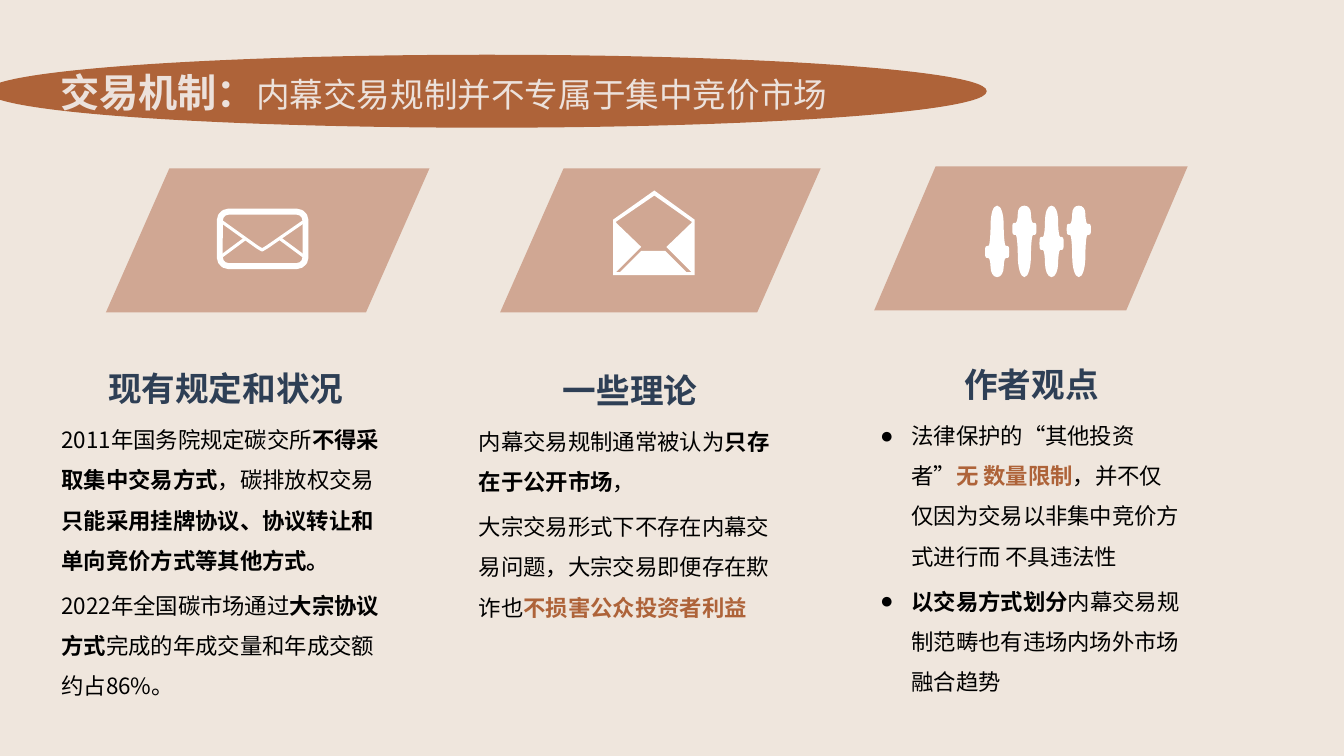
from dataclasses import dataclass

from lxml.etree import SubElement
from pptx import Presentation
from pptx.dml.color import RGBColor
from pptx.enum.lang import MSO_LANGUAGE_ID
from pptx.enum.shapes import MSO_SHAPE
from pptx.enum.text import MSO_AUTO_SIZE, PP_ALIGN
from pptx.oxml.ns import qn
from pptx.util import Inches, Pt


@dataclass(frozen=True)
class Theme:
    font: str = "Noto Sans CJK SC"
    bullet_font: str = "Arial"
    background: str = "EFE6DD"
    accent: str = "AE6339"
    panel: str = "D0A793"
    icon: str = "FFFFFF"
    title: str = "ECE1DB"
    heading: str = "2E3F55"
    body: str = "000000"
    title_size: int = 28
    heading_size: int = 24
    body_size: int = 16


THEME = Theme()


def rgb(color):
    return RGBColor.from_string(color)


def paint(shape, color):
    shape.shadow.inherit = False
    shape.fill.solid()
    shape.fill.fore_color.rgb = rgb(color)
    shape.line.fill.background()
    return shape


def outline(shape, width):
    shape.shadow.inherit = False
    shape.fill.background()
    shape.line.color.rgb = rgb(THEME.icon)
    shape.line.width = Pt(width)


def add_run(paragraph, text, size, color, bold=False):
    run = paragraph.add_run()
    run.text = text
    font = run.font
    font.size, font.bold, font.name = Pt(size), bold, THEME.font
    font.color.rgb = rgb(color)
    font.language_id = MSO_LANGUAGE_ID.SIMPLIFIED_CHINESE
    SubElement(run._r.get_or_add_rPr(), qn("a:ea"), typeface=THEME.font)


def add_text_frame(slide, left, top, width, height):
    frame = slide.shapes.add_textbox(*map(Inches, (left, top, width, height))).text_frame
    frame.word_wrap = True
    frame.auto_size = MSO_AUTO_SIZE.SHAPE_TO_FIT_TEXT
    return frame


def add_bullet(paragraph):
    properties = paragraph._p.get_or_add_pPr()
    properties.set("marL", str(Inches(0.31)))
    properties.set("indent", str(-Inches(0.31)))
    SubElement(properties, qn("a:buFont"), typeface=THEME.bullet_font)
    SubElement(properties, qn("a:buChar"), char="●")


def draw_outline(slide, left, top, contours, close=True):
    (first, *rest), *others = [
        [(Inches(left + x), Inches(top + y)) for x, y in contour] for contour in contours
    ]
    builder = slide.shapes.build_freeform(*first)
    builder.add_line_segments(rest, close=close)
    for start, *following in others:
        builder.move_to(*start)
        builder.add_line_segments(following, close=close)
    return builder.convert_to_shape()


def bend(shape):
    lines = list(shape._element.iter(qn("a:lnTo")))
    for first in range(0, len(lines) - 2, 3):
        curve = lines[first].makeelement(qn("a:cubicBezTo"))
        lines[first].addprevious(curve)
        for line in lines[first:first + 3]:
            curve.append(line[0])
            line.getparent().remove(line)
    return shape


def draw_closed_envelope(slide, left, top):
    frame = slide.shapes.add_shape(
        MSO_SHAPE.ROUNDED_RECTANGLE,
        *map(Inches, (left + 0.03, top + 0.03, 0.85, 0.54)))
    frame.adjustments[0] = 0.16
    outline(frame, 4.25)
    folds = [
        [(0.05, 0.13), (0.4, 0.38), (0.45, 0.41), (0.5, 0.38), (0.86, 0.13)],
        [(0.05, 0.47), (0.28, 0.3)],
        [(0.86, 0.47), (0.63, 0.3)],
    ]
    outline(draw_outline(slide, left, top, folds, close=False), 2.25)


def draw_open_envelope(slide, left, top):
    shell = [(0.41, 0), (0, 0.29), (0, 0.84), (0.81, 0.84), (0.81, 0.29)]
    opening = [(0.73, 0.81), (0.52, 0.6), (0.28, 0.6), (0.07, 0.81), (0.03, 0.81),
               (0.28, 0.56), (0.03, 0.32), (0.03, 0.31), (0.41, 0.05), (0.78, 0.31),
               (0.78, 0.32), (0.53, 0.56), (0.78, 0.81)]
    paint(draw_outline(slide, left, top, [shell, opening]), THEME.icon)


def slider_outline(shoulder, knob_top, knob_bottom, hip):
    height, stem, knob = 0.71, 0.065, 0.12
    middle = (knob_top + knob_bottom) / 2
    right = [
        (0, 0), (0.04, 0), (stem, shoulder * 0.4), (stem, shoulder),
        (stem, (shoulder + knob_top) / 2), (0.075, knob_top), (0.085, knob_top),
        (0.115, knob_top), (knob, knob_top), (knob, middle),
        (knob, knob_bottom), (0.115, knob_bottom), (0.085, knob_bottom),
        (0.075, knob_bottom), (stem, (knob_bottom + hip) / 2), (stem, hip),
        (stem, (hip + height) / 2), (0.04, height), (0, height),
    ]
    return right + [(-x, y) for x, y in reversed(right[:-1])]


def draw_sliders(slide, left, top):
    sliders = [(0.2, 0.4, 0.52, 0.61), (0.08, 0.17, 0.29, 0.5),
               (0.16, 0.31, 0.44, 0.57), (0.08, 0.18, 0.29, 0.51)]
    for index, levels in enumerate(sliders):
        center = left + 0.12 + index * 0.27
        slider = draw_outline(slide, center, top, [slider_outline(*levels)])
        paint(bend(slider), THEME.icon)


def draw_title(slide, left, top, width, height):
    banner = slide.shapes.add_shape(MSO_SHAPE.OVAL, *map(Inches, (left, top, width, height)))
    paint(banner, THEME.accent)
    banner.line.color.rgb = rgb(THEME.accent)
    banner.line.width = Pt(1)
    paragraph = add_text_frame(slide, left + 0.62, top + 0.08, 8.46, 0.57).paragraphs[0]
    add_run(paragraph, "交易机制：", THEME.title_size, THEME.title, True)
    add_run(paragraph, "内幕交易规制并不专属于集中竞价市场", THEME.heading_size, THEME.title)


def draw_panel(slide, left, top, width, slant, draw_icon, icon_left, icon_top):
    height = 1.43
    panel = slide.shapes.add_shape(
        MSO_SHAPE.PARALLELOGRAM, *map(Inches, (left, top, width, height)))
    panel.adjustments[0] = slant / height
    paint(panel, THEME.panel)
    draw_icon(slide, left + icon_left, top + icon_top)


def draw_column(slide, left, top, width, height, heading, points, bulleted=False):
    frame = add_text_frame(slide, left, top, width, height)
    frame.margin_left = frame.margin_right = frame.margin_top = frame.margin_bottom = 0
    title = frame.paragraphs[0]
    title.alignment = PP_ALIGN.CENTER
    title.line_spacing = 1.5
    add_run(title, heading, THEME.heading_size, THEME.heading, True)
    for point in points:
        paragraph = frame.add_paragraph()
        paragraph.line_spacing = 1.5
        paragraph.space_before = Pt(3.2)
        if bulleted:
            add_bullet(paragraph)
        for text, style in point:
            color = THEME.accent if style == "accent" else THEME.body
            add_run(paragraph, text, THEME.body_size, color, style != "plain")


RULES = [
    [("2011年国务院规定碳交所", "plain"), ("不得采取集中交易方式", "bold"),
     ("，碳排放权交易", "plain"),
     ("只能采用挂牌协议、协议转让和单向竞价方式等其他方式。", "bold")],
    [("2022年全国碳市场通过", "plain"), ("大宗协议方式", "bold"),
     ("完成的年成交量和年成交额约占86%。", "plain")],
]
THEORIES = [
    [("内幕交易规制通常被认为", "plain"), ("只存在于公开市场", "bold"), ("，", "plain")],
    [("大宗交易形式下不存在内幕交易问题，大宗交易即便存在欺诈也", "plain"),
     ("不损害公众投资者利益", "accent")],
]
VIEWS = [
    [("法律保护的“其他投资者”", "plain"), ("无 数量限制", "accent"),
     ("，并不仅仅因为交易以非集中竞价方式进行而 不具违法性", "plain")],
    [("以交易方式划分", "bold"), ("内幕交易规制范畴也有违场内场外市场融合趋势", "plain")],
]


def main():
    deck = Presentation()
    deck.slide_width, deck.slide_height = Inches(13.33), Inches(7.5)
    slide = deck.slides.add_slide(deck.slide_layouts[6])
    slide.background.fill.solid()
    slide.background.fill.fore_color.rgb = rgb(THEME.background)
    draw_title(slide, -0.12, 0.55, 9.9, 0.71)
    draw_panel(slide, 1.05, 1.67, 3.21, 0.63, draw_closed_envelope, 1.1, 0.4)
    draw_panel(slide, 4.96, 1.67, 3.18, 0.63, draw_open_envelope, 1.12, 0.22)
    draw_panel(slide, 8.67, 1.65, 3.11, 0.61, draw_sliders, 1.1, 0.39)
    draw_column(slide, 0.61, 3.45, 3.26, 3.54, "现有规定和状况", RULES)
    draw_column(slide, 4.75, 3.47, 3, 2.69, "一些理论", THEORIES)
    draw_column(slide, 8.73, 3.41, 3, 3.54, "作者观点", VIEWS, bulleted=True)
    deck.save("out.pptx")


if __name__ == "__main__":
    main()
